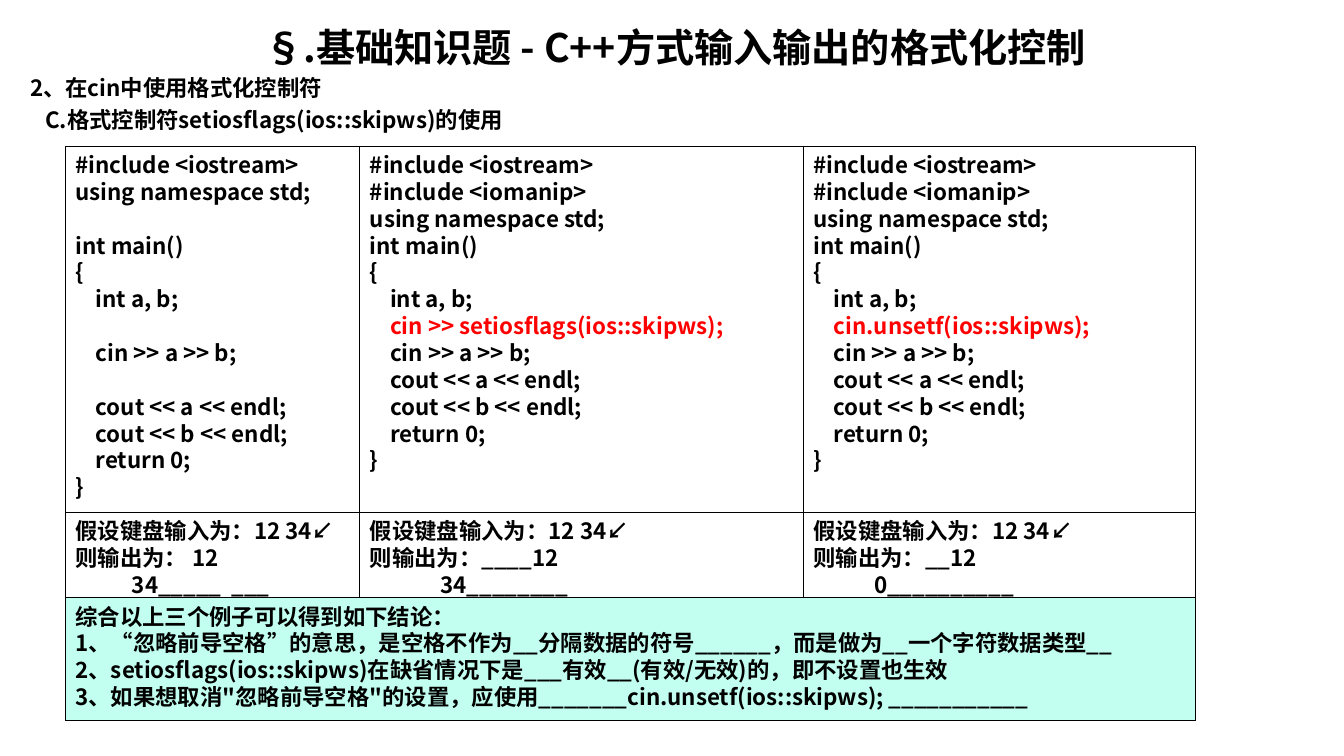
from lxml.etree import SubElement as Sub
from pptx import Presentation as Deck
from pptx.dml.color import RGBColor as Color
from pptx.enum.lang import MSO_LANGUAGE_ID as Lang
from pptx.enum.shapes import MSO_SHAPE as Kind
from pptx.enum.text import MSO_ANCHOR as Anchor, PP_ALIGN as Align
from pptx.oxml.ns import qn
from pptx.util import Inches, Pt

FONT = "Noto Sans CJK SC"
BLACK = Color(0x00, 0x00, 0x00)
RED = Color(0xFF, 0x00, 0x00)
WHITE = Color(0xFF, 0xFF, 0xFF)
MINT = Color(0xC2, 0xFF, 0xF0)

LEFT = 0.65
WIDTHS = [2.92, 4.4, 3.89]
CODE_TOP, OUT_TOP, SUM_TOP, END = 1.45, 5.08, 5.93, 7.15

HEAD = ["#include <iostream>", "#include <iomanip>", "using namespace std;",
        "int main()", "{", "    int a, b;"]
TAIL = ["    cin >> a >> b;", "    cout << a << endl;", "    cout << b << endl;",
        "    return 0;", "}"]
PLAIN = [HEAD[0], HEAD[2], "", *HEAD[3:], "", TAIL[0], "", *TAIL[1:]]
SET = "    cin >> setiosflags(ios::skipws);"
UNSET = "    cin.unsetf(ios::skipws);"
CODES = [PLAIN, [*HEAD, SET, *TAIL], [*HEAD, UNSET, *TAIL]]

INPUT = "假设键盘输入为：12 34↙"
OUTS = [
    ("则输出为： 12", "34_____  ___", 0.56),
    ("则输出为：____12", "34________", 0.7),
    ("则输出为：__12", "0__________", 0.6),
]
NOTES = [
    "综合以上三个例子可以得到如下结论：",
    "1、“忽略前导空格”的意思，是空格不作为__分隔数据的符号______，而是做为__一个字符数据类型__",
    "2、setiosflags(ios::skipws)在缺省情况下是___有效__(有效/无效)的，即不设置也生效",
    "3、如果想取消\"忽略前导空格\"的设置，应使用_______cin.unsetf(ios::skipws); ___________",
]


def add_line(frame, first, text, size=16, color=BLACK, indent=0, gap=0):
    para = frame.paragraphs[0] if first else frame.add_paragraph()
    para.alignment = Align.LEFT
    para.line_spacing = Pt(size * 1.2)
    if gap:
        para.space_before = Pt(gap)
    if indent:
        props = para._p.get_or_add_pPr()
        props.set("marL", str(Inches(indent)))
        props.set("indent", "0")
    if text:
        run = para.add_run()
        run.text = text
        font = run.font
        font.name, font.size, font.bold = FONT, Pt(size), True
        font.color.rgb = color
        font.language_id = Lang.SIMPLIFIED_CHINESE
        Sub(font._element, qn("a:ea")).set("typeface", FONT)
    return para


def add_cell(slide, box, fill=None):
    cell = slide.shapes.add_shape(Kind.RECTANGLE, *map(Inches, box))
    cell.shadow.inherit = False
    if fill is None:
        cell.fill.background()
    else:
        cell.fill.solid()
        cell.fill.fore_color.rgb = fill
    cell.line.color.rgb = BLACK
    cell.line.width = Pt(0.75)
    frame = cell.text_frame
    frame.word_wrap = True
    frame.vertical_anchor = Anchor.TOP
    return frame


def add_head(slide, box):
    frame = slide.shapes.add_textbox(*map(Inches, box)).text_frame
    frame.word_wrap = True
    title = add_line(frame, True, "§.基础知识题 - C++方式输入输出的格式化控制", 28)
    title.alignment = Align.CENTER
    add_line(frame, False, "2、在cin中使用格式化控制符", gap=3.2)
    add_line(frame, False, "C.格式控制符setiosflags(ios::skipws)的使用", indent=0.15, gap=3.2)


def add_code(slide, box, code):
    frame = add_cell(slide, box)
    for row, text in enumerate(code):
        add_line(frame, row == 0, text, color=RED if text in (SET, UNSET) else BLACK)


def add_out(slide, box, out):
    frame = add_cell(slide, box, WHITE)
    first, second, indent = out
    add_line(frame, True, INPUT)
    add_line(frame, False, first)
    add_line(frame, False, second, indent=indent)


def add_notes(slide, box):
    frame = add_cell(slide, box, MINT)
    for row, text in enumerate(NOTES):
        add_line(frame, row == 0, text)


def main():
    deck = Deck()
    deck.slide_width, deck.slide_height = Inches(13.33), Inches(7.5)
    slide = deck.slides.add_slide(deck.slide_layouts[6])
    total = sum(WIDTHS)
    add_cell(slide, (LEFT, CODE_TOP, total, END - CODE_TOP))
    add_head(slide, (0.2, 0.18, 12.99, 7.09))
    left = LEFT
    for width, code, out in zip(WIDTHS, CODES, OUTS):
        add_code(slide, (left, CODE_TOP, width, END - CODE_TOP), code)
        add_out(slide, (left, OUT_TOP, width, END - OUT_TOP), out)
        left += width
    add_notes(slide, (LEFT, SUM_TOP, total, END - SUM_TOP))
    deck.save("out.pptx")


if __name__ == "__main__":
    main()
